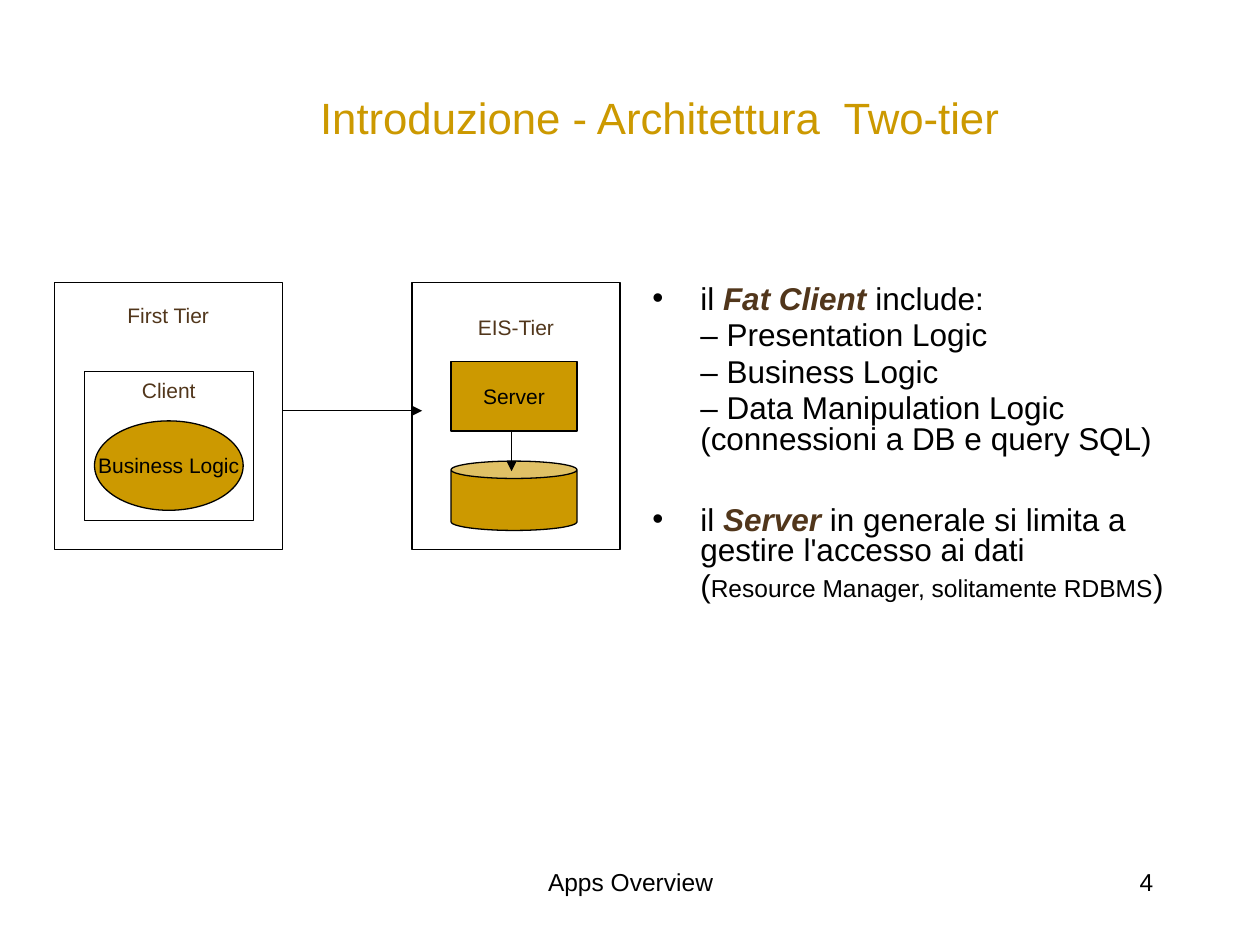
from lxml import etree
from pptx import Presentation
from pptx.dml.color import RGBColor
from pptx.enum import shapes, text
from pptx.oxml.ns import qn
from pptx.util import Inches, Pt

GOLD = RGBColor(0xCC, 0x99, 0x00)
BROWN = RGBColor(0x51, 0x36, 0x1B)
BLACK = RGBColor(0, 0, 0)
WHITE = RGBColor(255, 255, 255)
SHAPE = shapes.MSO_SHAPE
ALIGN = text.PP_ALIGN
ANCHOR = text.MSO_ANCHOR


def set_all(obj, **values):
    """Set each named attribute of obj."""
    for name, value in values.items():
        setattr(obj, name, value)


def add_run(p, words, size, color=BLACK, **font):
    """Add a formatted Arial run to a paragraph."""
    r = p.add_run()
    r.text = words
    set_all(r.font, name="Arial", size=Pt(size), **font)
    r.font.color.rgb = color


def add_title(s, box, words):
    """Place the slide title in its placeholder."""
    sp = s.shapes.title
    set_all(sp, **dict(zip(("left", "top", "width", "height"), map(Inches, box))))
    set_all(sp.text_frame, vertical_anchor=ANCHOR.MIDDLE, margin_left=Inches(1.84))
    p = sp.text_frame.paragraphs[0]
    p.alignment = ALIGN.LEFT
    add_run(p, words, 25, GOLD)


def add_textbox(s, box):
    """Add a wrapping text box and return its text frame."""
    tf = s.shapes.add_textbox(*map(Inches, box)).text_frame
    tf.word_wrap = True
    return tf


def add_footer(s, box, words, align):
    """Add one footer text."""
    p = add_textbox(s, box).paragraphs[0]
    p.alignment = align
    add_run(p, words, 14)


def add_notes_list(s, box):
    """Add the bulleted explanation of the two tiers."""
    accent = dict(color=BROWN, bold=True, italic=True)
    plain = {}
    items = [
        (True, 3.6, [("il ", 18, plain), ("Fat Client ", 18, accent), ("include:", 18, plain)]),
        (False, 3.6, [("– Presentation Logic", 18, plain)]),
        (False, 3.6, [("– Business Logic", 18, plain)]),
        (False, 3.6, [("– Data Manipulation Logic (connessioni a DB e query SQL)", 18, plain)]),
        (True, 29, [("il ", 18, plain), ("Server", 18, accent),
                    (" in generale si limita a gestire l'accesso ai dati", 18, plain)]),
        (False, 3.6, [("(", 18, plain), ("Resource Manager, solitamente RDBMS", 14, plain),
                      (")", 18, plain)]),
    ]
    tf = add_textbox(s, box)
    for i, (bulleted, before, runs) in enumerate(items):
        p = tf.add_paragraph() if i else tf.paragraphs[0]
        set_all(p, line_spacing=0.8, space_before=Pt(before))
        pPr = p._p.get_or_add_pPr()
        pPr.set("marL", str(Inches(0.38)))
        pPr.set("indent", str(Inches(-0.38 if bulleted else 0)))
        if bulleted:
            etree.SubElement(pPr, qn("a:buFont")).set("typeface", "Arial")
            etree.SubElement(pPr, qn("a:buChar")).set("char", "•")
        for words, size, font in runs:
            add_run(p, words, size, **font)


def add_block(s, kind, box, fill, label="", color=BLACK, top=None):
    """Add an outlined shape, its label centred or at a distance from the top."""
    sp = s.shapes.add_shape(kind, *map(Inches, box))
    sp.shadow.inherit = False
    sp.fill.solid()
    sp.fill.fore_color.rgb = fill
    sp.line.color.rgb = BLACK
    sp.line.width = Pt(0.75)
    if label:
        tf = sp.text_frame
        set_all(tf, word_wrap=False, vertical_anchor=ANCHOR.MIDDLE)
        if top is not None:
            set_all(tf, vertical_anchor=ANCHOR.TOP, margin_top=Inches(top))
        p = tf.paragraphs[0]
        p.alignment = ALIGN.CENTER
        add_run(p, label, 12, color)
    return sp


def add_arrow(s, x1, y1, x2, y2):
    """Add a straight arrow between two points."""
    cn = s.shapes.add_connector(shapes.MSO_CONNECTOR.STRAIGHT, *map(Inches, (x1, y1, x2, y2)))
    cn.line.color.rgb = BLACK
    cn.line.width = Pt(0.75)
    etree.SubElement(cn.line._get_or_add_ln(), qn("a:tailEnd")).set("type", "triangle")
    etree.SubElement(cn._element.spPr, qn("a:effectLst"))


def add_first_tier(s, box):
    """Draw the first tier with its client and business logic."""
    x, y = box[:2]
    add_block(s, SHAPE.RECTANGLE, box, WHITE, "First Tier", BROWN, 0.16)
    add_block(s, SHAPE.RECTANGLE, (x + 0.24, y + 0.71, 1.34, 1.18), WHITE, "Client", BROWN, 0.05)
    add_block(s, SHAPE.OVAL, (x + 0.32, y + 1.1, 1.18, 0.71), GOLD, "Business Logic")


def add_eis_tier(s, box):
    """Draw the EIS tier with its server and database."""
    x, y = box[:2]
    add_block(s, SHAPE.RECTANGLE, box, WHITE, "EIS-Tier", BROWN, 0.26)
    add_block(s, SHAPE.RECTANGLE, (x + 0.31, y + 0.63, 1, 0.55), GOLD, "Server")
    can = add_block(s, SHAPE.CAN, (x + 0.31, y + 1.42, 1, 0.55), GOLD)
    can.adjustments[0] = 0.25
    add_arrow(s, x + 0.79, y + 1.18, x + 0.79, y + 1.5)


def main():
    """Build and save the slide."""
    prs = Presentation()
    set_all(prs, slide_width=Inches(10), slide_height=Inches(7.5))
    s = prs.slides.add_slide(prs.slide_layouts[5])
    add_title(s, (0.7, 0.46, 8.5, 0.94), "Introduzione - Architettura  Two-tier")
    add_notes_list(s, (5.08, 2.22, 4.56, 4.5))
    add_footer(s, (3.42, 6.83, 3.17, 0.5), "Apps Overview", ALIGN.CENTER)
    add_footer(s, (7.17, 6.83, 2.08, 0.5), "4", ALIGN.RIGHT)
    add_first_tier(s, (0.43, 2.24, 1.81, 2.12))
    add_eis_tier(s, (3.27, 2.24, 1.65, 2.12))
    add_arrow(s, 2.24, 3.26, 3.35, 3.26)
    prs.save("out.pptx")


if __name__ == "__main__":
    main()
